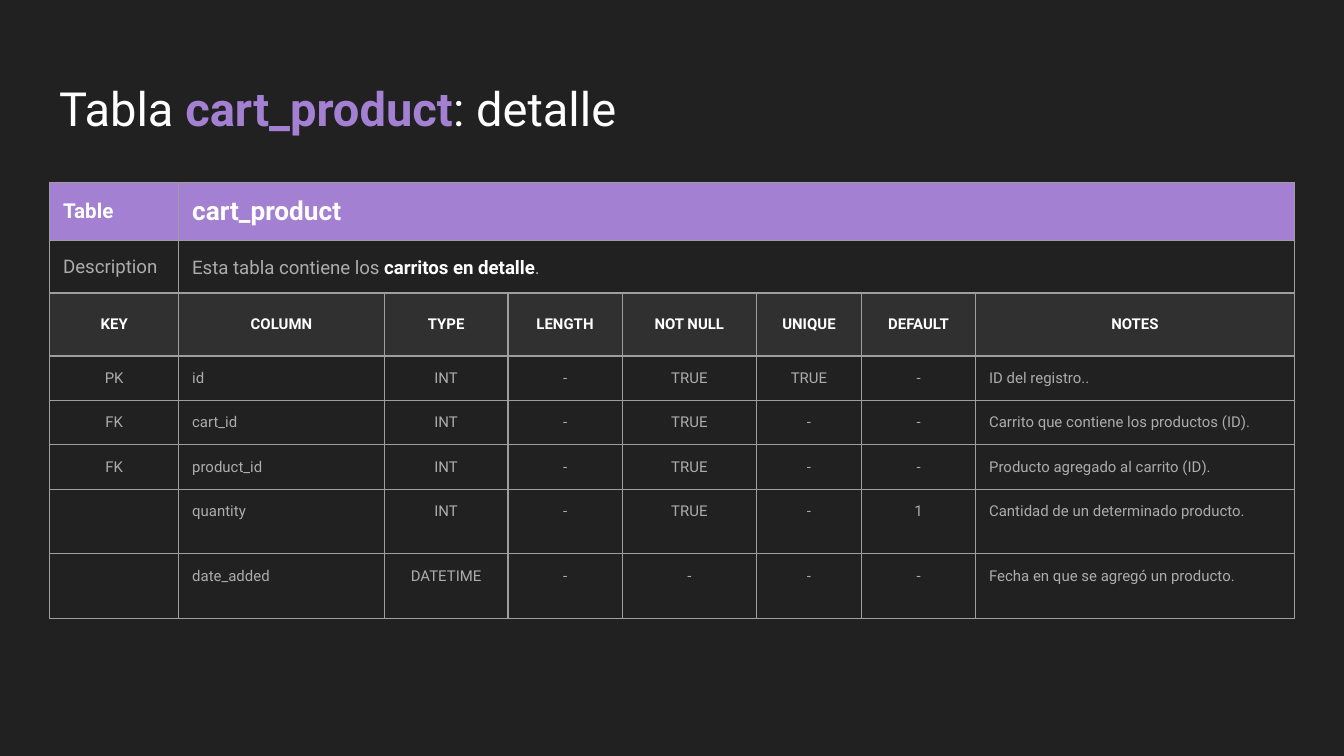
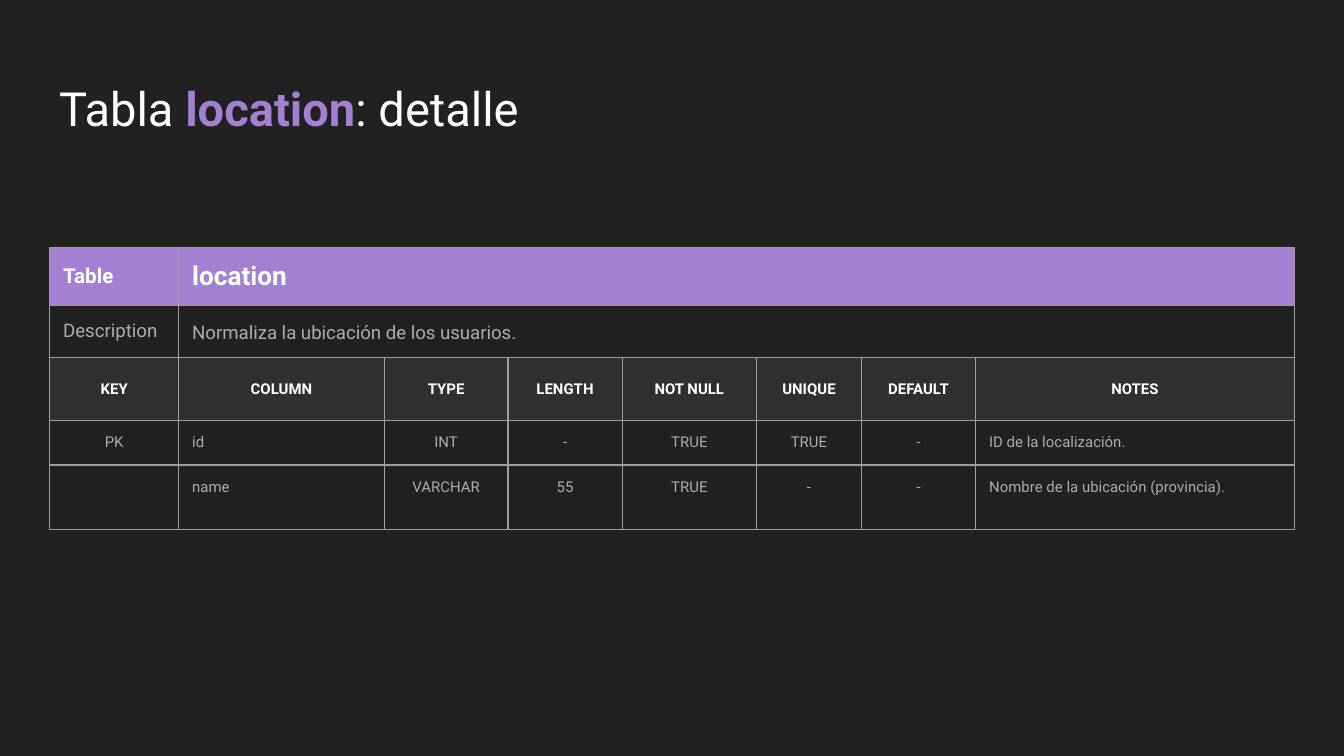
from dataclasses import dataclass

from lxml import etree
from pptx import Presentation
from pptx.dml.color import RGBColor
from pptx.enum import text as t
from pptx.oxml import ns
from pptx.util import Inches, Pt

# Content: a text is a list of (words, emphasised) parts
HEADINGS = ["KEY", "COLUMN", "TYPE", "LENGTH", "NOT NULL", "UNIQUE", "DEFAULT", "NOTES"]
ENTITIES = [
    {
        "name": "cart_product",
        "top": 1.36,
        "description": [("Esta tabla contiene los ", False),
                        ("carritos en detalle", True), (".", False)],
        "columns": [
            ("PK", "id", "INT", "-", "TRUE", "TRUE", "-", "ID del registro.."),
            ("FK", "cart_id", "INT", "-", "TRUE", "-", "-",
             "Carrito que contiene los productos (ID)."),
            ("FK", "product_id", "INT", "-", "TRUE", "-", "-",
             "Producto agregado al carrito (ID)."),
            ("", "quantity", "INT", "-", "TRUE", "-", "1",
             "Cantidad de un determinado producto."),
            ("", "date_added", "DATETIME", "-", "-", "-", "-",
             "Fecha en que se agregó un producto."),
        ],
    },
    {
        "name": "location",
        "top": 1.84,
        "description": [("Normaliza la ubicación de los usuarios.", False)],
        "columns": [
            ("PK", "id", "INT", "-", "TRUE", "TRUE", "-", "ID de la localización."),
            ("", "name", "VARCHAR", "55", "TRUE", "-", "-",
             "Nombre de la ubicación (provincia)."),
        ],
    },
]


@dataclass(frozen=True)
class Theme:
    font: str = "Roboto"
    background: str = "212121"
    accent: str = "A380D1"
    heading_fill: str = "303030"
    strong: str = "FFFFFF"
    muted: str = "ADADAD"
    border: str = "9E9E9E"
    border_width: float = 0.75
    title_size: float = 25.2
    name_size: float = 14
    label_size: float = 11
    description_size: float = 10
    grid_size: float = 8


THEME = Theme()

# Geometry in inches, on a 16:9 slide
SLIDE_WIDTH = 10
SLIDE_HEIGHT = SLIDE_WIDTH * 9 / 16
TITLE_BOX = (0.34, 0.49, 9.32, 0.63)
TABLE_LEFT = 0.37
COLUMN_WIDTHS = [0.96, 1.53, 0.92, 0.85, 1, 0.78, 0.85, 2.37]
TOP_ROW_HEIGHTS = [0.43, 0.39, 0.47]
KEYED_ROW, KEYLESS_ROW = 0.33, 0.48
INSET = 0.1
LEFT_ALIGNED = {"COLUMN", "NOTES"}


def style_run(run, size, color, bold=False):
    run.font.name = THEME.font
    run.font.size = Pt(size)
    run.font.bold = bold
    run.font.color.rgb = RGBColor.from_string(color)


def write_parts(paragraph, parts, size, plain, emphasis):
    for words, emphasised in parts:
        run = paragraph.add_run()
        run.text = words
        style_run(run, size, emphasis if emphasised else plain, emphasised)


def set_insets(box):
    box.margin_left = box.margin_right = Inches(INSET)
    box.margin_top = box.margin_bottom = Inches(INSET)


def add_title(slide, name):
    title = slide.shapes.title
    title.left, title.top, title.width, title.height = map(Inches, TITLE_BOX)
    frame = title.text_frame
    set_insets(frame)
    frame.word_wrap = True
    frame.auto_size = t.MSO_AUTO_SIZE.NONE
    frame.vertical_anchor = t.MSO_ANCHOR.TOP
    paragraph = frame.paragraphs[0]
    paragraph.alignment = t.PP_ALIGN.LEFT
    write_parts(paragraph, [("Tabla ", False), (name, True), (": detalle", False)],
                THEME.title_size, THEME.strong, THEME.accent)


def frame_cell(cell, fill=None):
    """Draw the four borders, then the fill."""
    properties = cell._tc.get_or_add_tcPr()
    for side in ("a:lnL", "a:lnR", "a:lnT", "a:lnB"):
        line = etree.SubElement(properties, ns.qn(side), w=str(Pt(THEME.border_width)))
        solid = etree.SubElement(line, ns.qn("a:solidFill"))
        etree.SubElement(solid, ns.qn("a:srgbClr"), val=THEME.border)
    if fill:
        cell.fill.solid()
        cell.fill.fore_color.rgb = RGBColor.from_string(fill)
    else:
        cell.fill.background()


def write_cell(cell, parts, size, color, centred=False, middle=True):
    set_insets(cell)
    cell.vertical_anchor = t.MSO_ANCHOR.MIDDLE if middle else t.MSO_ANCHOR.TOP
    paragraph = cell.text_frame.paragraphs[0]
    paragraph.alignment = t.PP_ALIGN.CENTER if centred else t.PP_ALIGN.LEFT
    write_parts(paragraph, parts, size, color, THEME.strong)
    return paragraph


def add_detail_table(slide, entity):
    heights = TOP_ROW_HEIGHTS + [KEYED_ROW if column[0] else KEYLESS_ROW
                                 for column in entity["columns"]]
    table = slide.shapes.add_table(
        len(heights), len(HEADINGS), Inches(TABLE_LEFT), Inches(entity["top"]),
        Inches(sum(COLUMN_WIDTHS)), Inches(sum(heights))).table
    table.first_row = table.horz_banding = False
    for grid_column, width in zip(table.columns, COLUMN_WIDTHS):
        grid_column.width = Inches(width)
    for row, height in zip(table.rows, heights):
        row.height = Inches(height)

    # Borders and fills
    row_fills = {0: THEME.accent, 2: THEME.heading_fill}
    for number, row in enumerate(table.rows):
        for cell in row.cells:
            frame_cell(cell, row_fills.get(number))

    # Table name and description
    for number in (0, 1):
        table.cell(number, 1).merge(table.cell(number, len(HEADINGS) - 1))
    write_cell(table.cell(0, 0), [("Table", True)], THEME.label_size, THEME.strong)
    write_cell(table.cell(0, 1), [(entity["name"], True)], THEME.name_size, THEME.strong)
    write_cell(table.cell(1, 0), [("Description", False)],
               THEME.description_size, THEME.muted)
    description = write_cell(table.cell(1, 1), entity["description"],
                             THEME.description_size, THEME.muted)
    description.line_spacing = 1.15
    description.space_after = Pt(12)

    # Headings and column details
    for index, heading in enumerate(HEADINGS):
        write_cell(table.cell(2, index), [(heading, True)],
                   THEME.grid_size, THEME.strong, centred=True)
        for number, column in enumerate(entity["columns"], start=3):
            if column[index]:
                write_cell(table.cell(number, index), [(column[index], False)],
                           THEME.grid_size, THEME.muted,
                           centred=heading not in LEFT_ALIGNED, middle=False)


def main():
    deck = Presentation()
    deck.slide_width, deck.slide_height = Inches(SLIDE_WIDTH), Inches(SLIDE_HEIGHT)
    backdrop = deck.slide_master.background.fill
    backdrop.solid()
    backdrop.fore_color.rgb = RGBColor.from_string(THEME.background)
    title_only = deck.slide_layouts[5]
    for entity in ENTITIES:
        slide = deck.slides.add_slide(title_only)
        add_title(slide, entity["name"])
        add_detail_table(slide, entity)
    deck.save("out.pptx")


if __name__ == "__main__":
    main()
